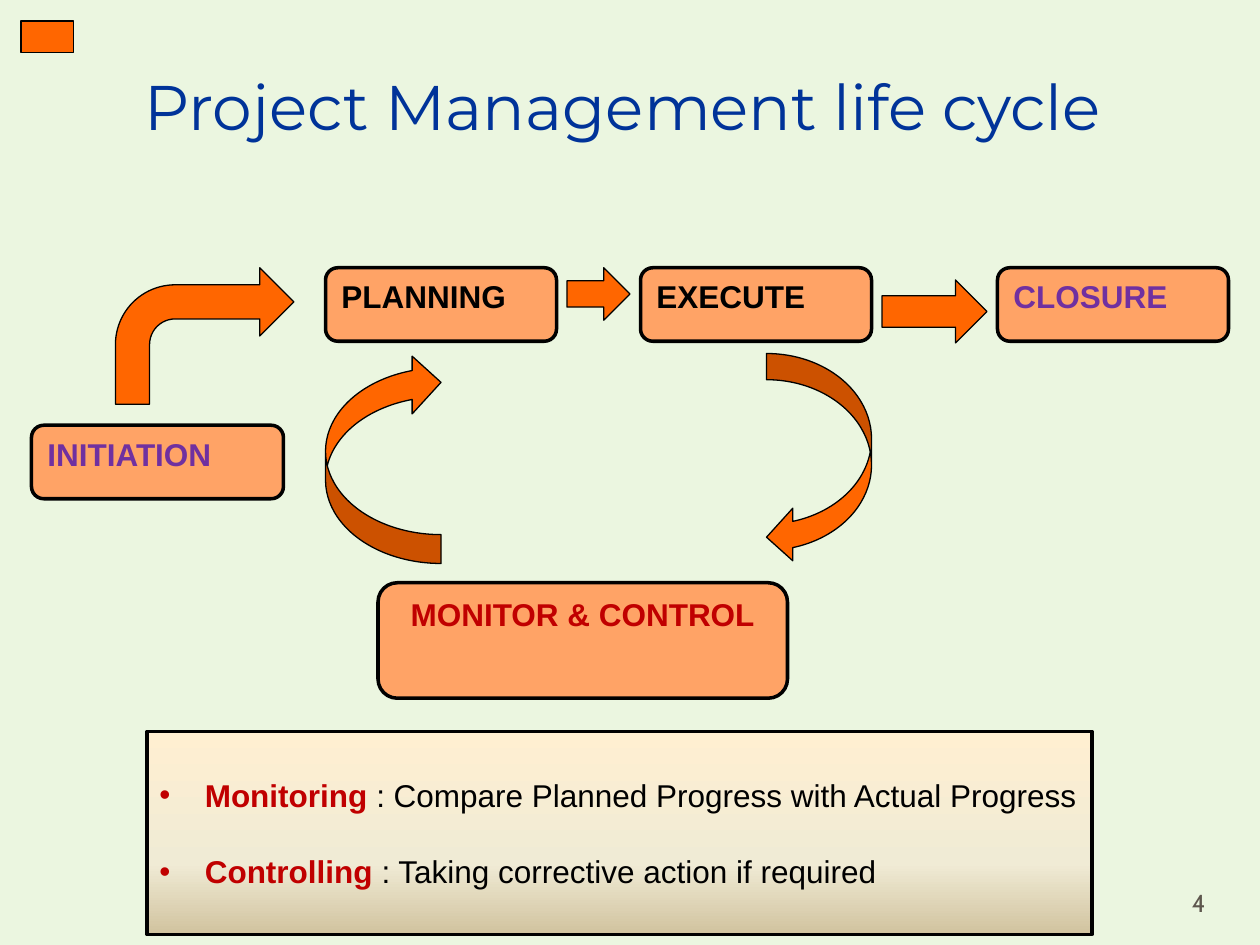
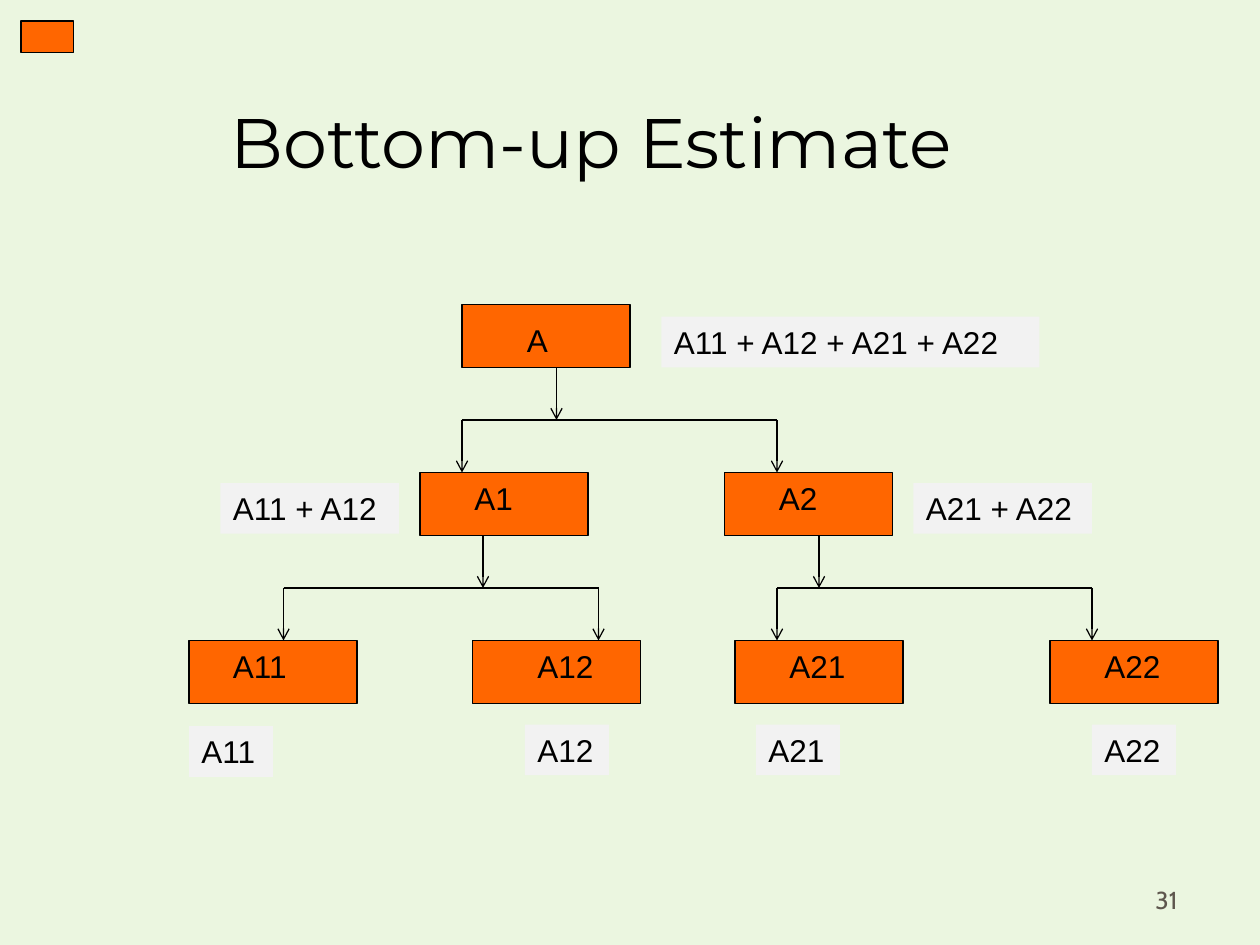
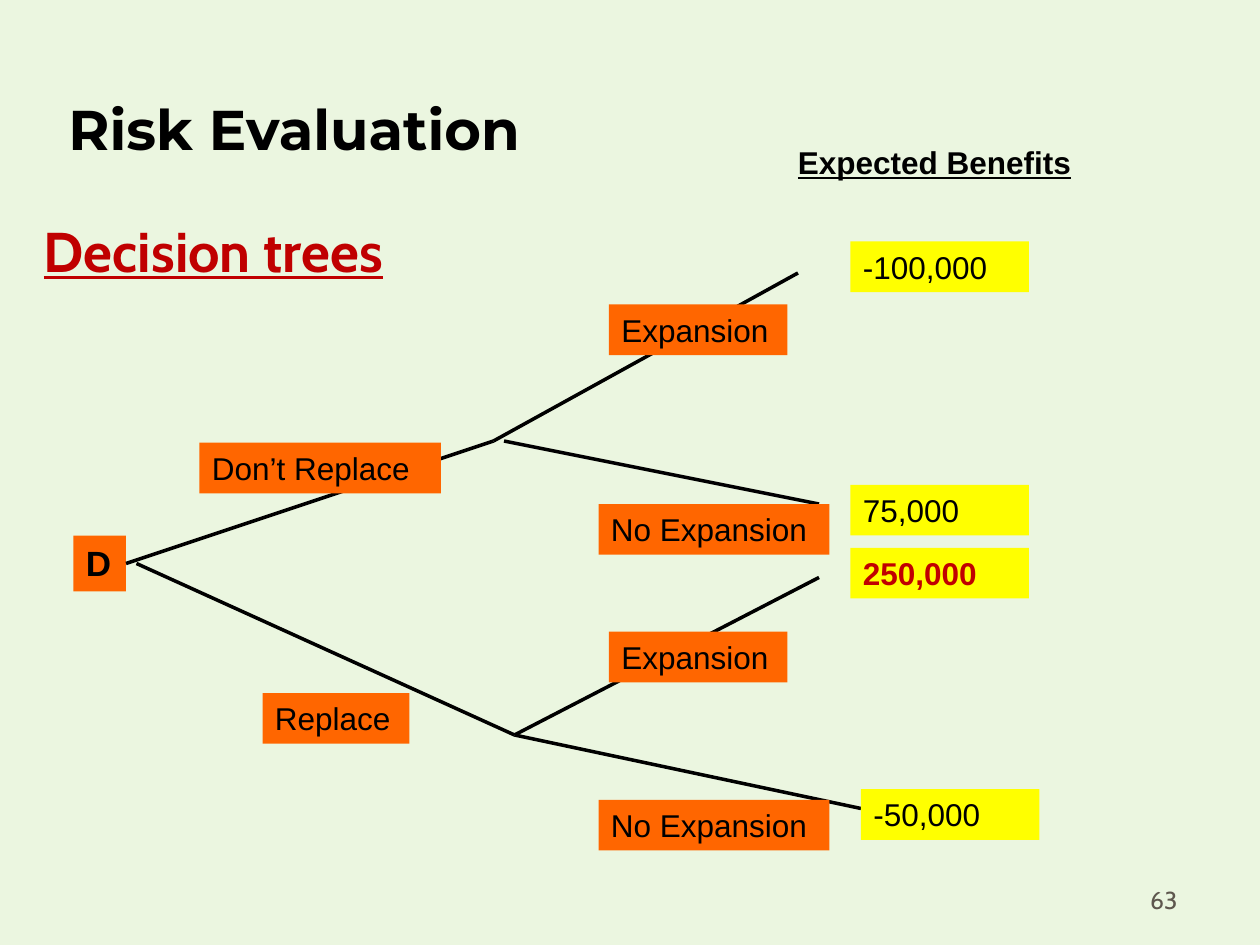
from copy import deepcopy
from dataclasses import dataclass

from lxml.etree import SubElement
from pptx import Presentation
from pptx.dml.color import RGBColor
from pptx.enum.shapes import MSO_CONNECTOR, MSO_SHAPE
from pptx.enum.text import MSO_ANCHOR, PP_ALIGN
from pptx.oxml.ns import qn
from pptx.util import Pt


@dataclass(frozen=True)
class Theme:
    background: str = "EBF6E0"
    orange: str = "FF6600"
    peach: str = "FFA366"
    yellow: str = "FFFF00"
    grey: str = "F2F2F2"
    black: str = "000000"
    blue: str = "003399"
    purple: str = "7030A0"
    red: str = "C00000"
    number: str = "5E574E"
    notes: tuple = ((0, "FFEFD1"), (0.65, "F0EBD5"), (1, "D1C39F"))
    title_font: str = "Montserrat"
    body_font: str = "Arial"
    accent_font: str = "Cabin"
    text_size: int = 18
    number_size: int = 14
    node_size: int = 20
    heading_size: int = 32
    thin: float = 0.75
    thick: float = 2


theme = Theme()
RECTANGLE = MSO_SHAPE.RECTANGLE


def add_block(slide, kind, box, text="", fill=None, line=None, size=theme.text_size,
              font=theme.body_font, color=theme.black, bold=False, underline=False,
              align=PP_ALIGN.LEFT, anchor=MSO_ANCHOR.TOP):
    """Add a preset shape, or a text box when kind is None."""
    lengths = [Pt(value) for value in box]
    if kind is None:
        shape = slide.shapes.add_textbox(*lengths)
    else:
        shape = slide.shapes.add_shape(kind, *lengths)
        shape.shadow.inherit = False
        if fill:
            shape.fill.solid()
            shape.fill.fore_color.rgb = RGBColor.from_string(fill)
        if line:
            shape.line.color.rgb = RGBColor.from_string(theme.black)
            shape.line.width = Pt(line)
        else:
            shape.line.fill.background()
    frame = shape.text_frame
    frame.word_wrap = True
    frame.vertical_anchor = anchor
    if text:
        paragraph = frame.paragraphs[0]
        paragraph.alignment = align
        run = paragraph.add_run()
        run.text = text
        run.font.name = font
        run.font.size = Pt(size)
        run.font.bold = bold
        run.font.underline = underline
        run.font.color.rgb = RGBColor.from_string(color)
    return shape


def add_line(slide, start, end, width, arrow=False):
    points = [Pt(value) for value in (*start, *end)]
    connector = slide.shapes.add_connector(MSO_CONNECTOR.STRAIGHT, *points)
    connector.line.color.rgb = RGBColor.from_string(theme.black)
    connector.line.width = Pt(width)
    properties = connector._element.spPr
    if arrow:
        SubElement(properties.find(qn("a:ln")), qn("a:tailEnd"), type="arrow")
    SubElement(properties, qn("a:effectLst"))
    return connector


presentation = Presentation()
presentation.slide_width = Pt(720)
presentation.slide_height = Pt(540)

# Shared frame: background, title, slide number, corner marker
frames = [
    ("Project Management life cycle", (12, 24, 688, 72), "4", (664, 492, 32, 36), True,
     dict(size=36, color=theme.blue, align=PP_ALIGN.CENTER, anchor=MSO_ANCHOR.MIDDLE)),
    ("Bottom-up Estimate", (32, 18, 612, 90), "31", (530, 490, 150, 36), True,
     dict(size=40, align=PP_ALIGN.CENTER, anchor=MSO_ANCHOR.BOTTOM)),
    ("Risk Evaluation", (32, 48, 612, 48), "63", (530, 490, 150, 36), False,
     dict(size=theme.heading_size, bold=True, anchor=MSO_ANCHOR.BOTTOM)),
]
slides = []
for title, title_box, number, number_box, has_marker, title_style in frames:
    slide = presentation.slides.add_slide(presentation.slide_layouts[6])
    slide.background.fill.solid()
    slide.background.fill.fore_color.rgb = RGBColor.from_string(theme.background)
    add_block(slide, None, title_box, title, font=theme.title_font, **title_style)
    add_block(slide, None, number_box, number, size=theme.number_size, font=theme.accent_font,
              color=theme.number, align=PP_ALIGN.RIGHT, anchor=MSO_ANCHOR.BOTTOM)
    if has_marker:
        add_block(slide, RECTANGLE, (12, 12, 30, 18), fill=theme.orange, line=theme.thin)
    slides.append(slide)
cycle_slide, estimate_slide, risk_slide = slides

# Life cycle: phases
phases = [
    ("INITIATION", (18, 243, 144, 42), theme.purple, PP_ALIGN.LEFT),
    ("PLANNING", (186, 153, 132, 42), theme.black, PP_ALIGN.LEFT),
    ("MONITOR & CONTROL", (216, 333, 234, 66), theme.red, PP_ALIGN.CENTER),
    ("EXECUTE", (366, 153, 132, 42), theme.black, PP_ALIGN.LEFT),
    ("CLOSURE", (570, 153, 132, 42), theme.purple, PP_ALIGN.LEFT),
]
for phase, box, color, align in phases:
    add_block(cycle_slide, MSO_SHAPE.FLOWCHART_ALTERNATE_PROCESS, box, phase, fill=theme.peach,
              line=theme.thick, color=color, bold=True, align=align)

# Life cycle: arrows between phases
arrows = [
    (MSO_SHAPE.BENT_ARROW, (66, 153, 102, 78), 0),
    (MSO_SHAPE.RIGHT_ARROW, (324, 153, 36, 30), 0),
    (MSO_SHAPE.CURVED_LEFT_ARROW, (438, 202, 60, 120), 0),
    (MSO_SHAPE.CURVED_LEFT_ARROW, (186, 202, 66, 120), 180),
    (MSO_SHAPE.RIGHT_ARROW, (504, 160, 60, 36), 0),
]
for kind, box, rotation in arrows:
    arrow = add_block(cycle_slide, kind, box, fill=theme.orange, line=theme.thin)
    arrow.rotation = rotation

# Life cycle: definitions on a gradient panel
panel = add_block(cycle_slide, RECTANGLE, (84, 418, 540, 116), line=theme.thick,
                  anchor=MSO_ANCHOR.MIDDLE)
panel.fill.gradient()
panel.fill.gradient_angle = 270
stop_list = panel._element.spPr.find(qn("a:gradFill")).find(qn("a:gsLst"))
stop_list.append(deepcopy(stop_list[0]))
for stop, (position, color) in zip(panel.fill.gradient_stops, theme.notes):
    stop.position = position
    stop.color.rgb = RGBColor.from_string(color)

definitions = [
    ("Monitoring", " : Compare Planned Progress with Actual Progress"),
    ("Controlling", " : Taking corrective action if required"),
]
for index, (term, meaning) in enumerate(definitions):
    frame = panel.text_frame
    paragraph = frame.add_paragraph() if index else frame.paragraphs[0]
    paragraph.alignment = PP_ALIGN.LEFT
    paragraph.space_before = Pt(22 * index)
    properties = paragraph._p.get_or_add_pPr()
    properties.set("marL", str(Pt(26)))
    properties.set("indent", str(-Pt(26)))
    SubElement(properties, qn("a:buFont"), typeface=theme.body_font)
    SubElement(properties, qn("a:buChar"), char="•")
    for text, color, bold in ((term, theme.red, True), (meaning, theme.black, False)):
        run = paragraph.add_run()
        run.text = text
        run.font.name = theme.body_font
        run.font.size = Pt(theme.text_size)
        run.font.bold = bold
        run.font.color.rgb = RGBColor.from_string(color)

# Estimate: nodes, each with a label set in from its left edge
label_height = 29
nodes = [
    ("A", 264, 174, 30, 6),
    ("A1", 240, 270, 24, 0),
    ("A2", 414, 270, 24, 0),
    ("A11", 108, 366, 18, 0),
    ("A12", 270, 366, 30, 0),
    ("A21", 420, 366, 24, 0),
    ("A22", 600, 366, 24, 0),
]
for name, left, top, inset, drop in nodes:
    add_block(estimate_slide, RECTANGLE, (left, top, 96, 36), fill=theme.orange, line=theme.thin)
    add_block(estimate_slide, None, (left + inset, top + drop, 54, label_height), name)

# Estimate: a stem, a bar and two drops for each split
rise = 30
splits = [(318, 210, 264, 444), (276, 306, 162, 342), (468, 306, 444, 624)]
for stem, top, left, right in splits:
    bar = top + rise
    add_line(estimate_slide, (left, bar), (right, bar), theme.thin)
    add_line(estimate_slide, (stem, top), (stem, bar), theme.thin, arrow=True)
    for x in (left, right):
        add_line(estimate_slide, (x, bar), (x, bar + rise), theme.thin, arrow=True)

# Estimate: sums beside the nodes
sums = [
    ("A11 + A12", 126, 276, 102),
    ("A21 + A22", 522, 276, 102),
    ("A11 + A12 + A21 + A22", 378, 181, 216),
    ("A11", 108, 415, 48),
    ("A12", 300, 414, 48),
    ("A21", 432, 414, 48),
    ("A22", 624, 414, 48),
]
for text, left, top, width in sums:
    add_block(estimate_slide, RECTANGLE, (left, top, width, label_height), text, fill=theme.grey)

# Risk: headings
add_block(risk_slide, None, (18, 120, 264, 48), "Decision trees", size=theme.heading_size,
          font=theme.accent_font, color=theme.red, bold=True, underline=True)
add_block(risk_slide, None, (444, 78, 180, label_height), "Expected Benefits", bold=True,
          underline=True, align=PP_ALIGN.CENTER)

# Risk: decision node and branches
decision = add_block(risk_slide, RECTANGLE, (42, 306, 30, 32), "D", fill=theme.orange,
                     size=theme.node_size, bold=True)
first_branch = add_line(risk_slide, (72, 322), (282, 252), theme.thick)
first_branch.begin_connect(decision, 3)
branches = [
    ((282, 252), (456, 156)),
    ((288, 252), (468, 288)),
    ((78, 322), (294, 420)),
    ((294, 420), (468, 330)),
    ((294, 420), (492, 462)),
]
for start, end in branches:
    add_line(risk_slide, start, end, theme.thick)

# Risk: choices on the branches
choices = [
    ("Don’t Replace", 114, 253, 138),
    ("Replace", 150, 396, 84),
    ("Expansion", 348, 174, 102),
    ("No Expansion", 342, 288, 132),
    ("Expansion", 348, 361, 102),
    ("No Expansion", 342, 457, 132),
]
for text, left, top, width in choices:
    add_block(risk_slide, RECTANGLE, (left, top, width, label_height), text, fill=theme.orange)

# Risk: expected benefits, the best one in bold red
best = "250,000"
benefits = [("-100,000", 486, 138), ("75,000", 486, 277), (best, 486, 313), ("-50,000", 492, 451)]
for text, left, top in benefits:
    add_block(risk_slide, RECTANGLE, (left, top, 102, label_height), text, fill=theme.yellow,
              color=theme.red if text == best else theme.black, bold=text == best)

presentation.save("out.pptx")
